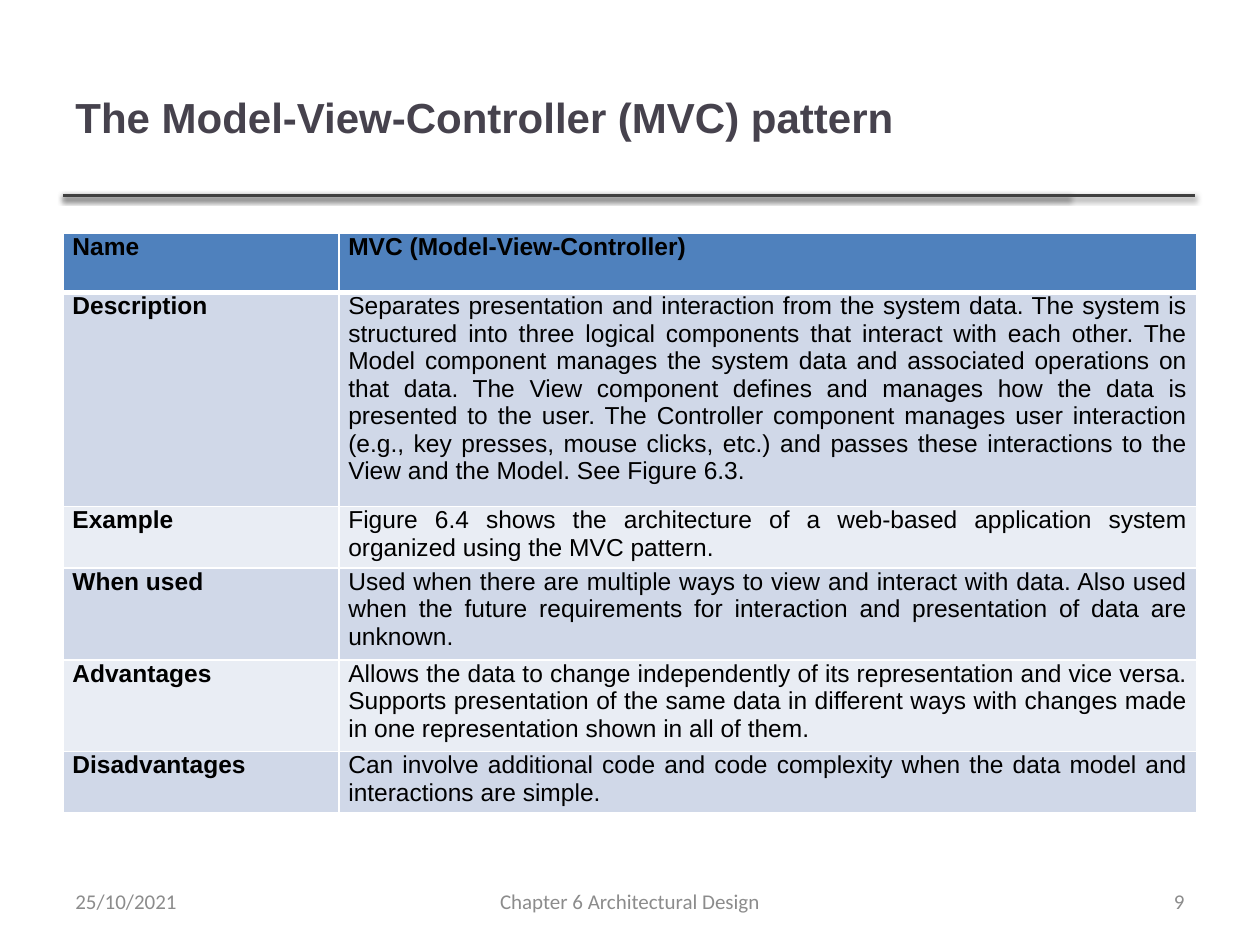
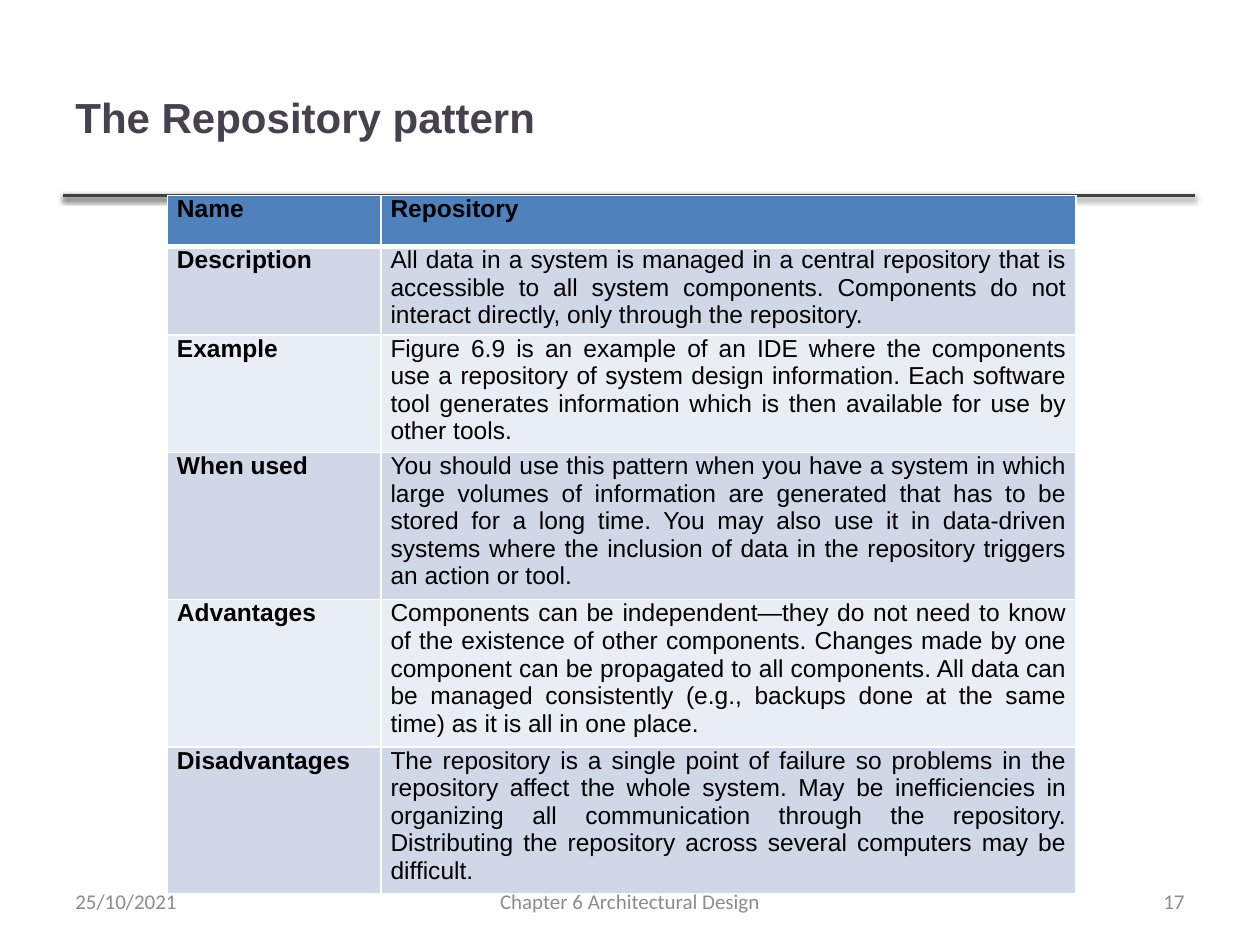
from typing import NamedTuple

from lxml import etree
from pptx import Presentation
from pptx import util as u
from pptx.dml.color import RGBColor
from pptx.enum import shapes, text
from pptx.oxml import parse_xml
from pptx.oxml.ns import nsdecls, qn

COLS, ROWS = 100, 75
WIDE, HIGH = u.Inches(10), u.Inches(7.5)
INK = {
    "title": "46424D", "rule": "404040", "foot": "8C8C8C", "body": "000000",
    "head": "4F81BD", "odd": "D0D8E8", "even": "E9EDF4", "edge": "FFFFFF",
}
ALIGN = text.PP_ALIGN
LABELS = ["Name", "Description", "Example", "When used", "Advantages", "Disadvantages"]


class Box(NamedTuple):
    left: float
    top: float
    wide: float
    high: float


class Foot(NamedTuple):
    box: Box
    words: str
    align: ALIGN


class Grid(NamedTuple):
    box: Box
    cols: list[float]
    rows: list[float]
    texts: list[str]


class Page(NamedTuple):
    title: str
    num: int
    grid: Grid


TITLE = Box(5, 3, 79.8, 12.5)
RULES = [84.9, 94.85]
FEET = [
    Foot(Box(34.15, 69.5, 31.7, 4), "Chapter 6 Architectural Design", ALIGN.CENTER),
    Foot(Box(71.7, 69.5, 23.3, 4), "{num}", ALIGN.RIGHT),
    Foot(Box(5, 69.5, 23.3, 4), "25/10/2021", ALIGN.LEFT),
]
PAGES = [
    Page("The Model-View-Controller (MVC) pattern", 9, Grid(
        Box(5, 18.5, 90, 46), [21.9, 68.1], [4.7, 17, 4.9, 7.27, 7.27, 4.9], [
            "MVC (Model-View-Controller)",
            "Separates presentation and interaction from the system data. The system is "
            "structured into three logical components that interact with each other. The "
            "Model component manages the system data and associated operations on that "
            "data. The View component defines and manages how the data is presented to "
            "the user. The Controller component manages user interaction (e.g., key "
            "presses, mouse clicks, etc.) and passes these interactions to the View and "
            "the Model. See Figure 6.3.",
            "Figure 6.4 shows the architecture of a web-based application system "
            "organized using the MVC pattern.",
            "Used when there are multiple ways to view and interact with data. Also used "
            "when the future requirements for interaction and presentation of data are "
            "unknown.",
            "Allows the data to change independently of its representation and vice "
            "versa. Supports presentation of the same data in different ways with "
            "changes made in one representation shown in all of them.",
            "Can involve additional code and code complexity when the data model and "
            "interactions are simple.",
        ])),
    Page("The Repository pattern", 17, Grid(
        Box(13.3, 15.5, 72.1, 55.4), [16.95, 55.15], [4.07] * 6, [
            "Repository",
            "All data in a system is managed in a central repository that is accessible "
            "to all system components. Components do not interact directly, only through "
            "the repository.",
            "Figure 6.9 is an example of an IDE where the components use a repository of "
            "system design information. Each software tool generates information which "
            "is then available for use by other tools.",
            "You should use this pattern when you have a system in which large volumes "
            "of information are generated that has to be stored for a long time. You may "
            "also use it in data-driven systems where the inclusion of data in the "
            "repository triggers an action or tool.",
            "Components can be independent—they do not need to know of the existence of "
            "other components. Changes made by one component can be propagated to all "
            "components. All data can be managed consistently (e.g., backups done at the "
            "same time) as it is all in one place.",
            "The repository is a single point of failure so problems in the repository "
            "affect the whole system. May be inefficiencies in organizing all "
            "communication through the repository. Distributing the repository across "
            "several computers may be difficult.",
        ])),
]


def across(cols: float) -> int:
    return round(WIDE * cols / COLS)


def down(rows: float) -> int:
    return round(HIGH * rows / ROWS)


def place(box: Box) -> tuple[int, int, int, int]:
    return across(box.left), down(box.top), across(box.wide), down(box.high)


def write(frame, words: str, *, size: float, ink: str, font: str = "Arial",
          bold: bool = False, align: ALIGN = ALIGN.LEFT) -> None:
    frame.word_wrap = True
    para = frame.paragraphs[0]
    para.alignment = align
    run = para.add_run()
    run.text = words
    run.font.name, run.font.size, run.font.bold = font, u.Pt(size), bold
    run.font.color.rgb = RGBColor.from_string(INK[ink])


def label(slide, box: Box, words: str, **style) -> None:
    shape = slide.shapes.add_textbox(*place(box))
    shape.text_frame.vertical_anchor = text.MSO_ANCHOR.MIDDLE
    write(shape.text_frame, words, **style)


def rule(slide, end: float) -> None:
    line = slide.shapes.add_connector(
        shapes.MSO_CONNECTOR.STRAIGHT, across(5), down(15.5), across(end), down(15.5))
    line.line.width = u.Pt(2)
    line.line.color.rgb = RGBColor.from_string(INK["rule"])
    line._element.spPr.append(parse_xml(
        f'<a:effectLst {nsdecls("a")}><a:outerShdw blurRad="{u.Pt(3.1)}" '
        f'dist="{u.Pt(1.6)}" dir="5400000" rotWithShape="0"><a:srgbClr val="000000">'
        '<a:alpha val="38000"/></a:srgbClr></a:outerShdw></a:effectLst>'))


def edge(cell, sides: dict[str, float]) -> None:
    props = cell._tc.get_or_add_tcPr()
    for spot, (side, width) in enumerate(sides.items()):
        line = etree.Element(qn(f"a:ln{side}"), w=str(u.Pt(width)))
        fill = etree.SubElement(line, qn("a:solidFill"))
        etree.SubElement(fill, qn("a:srgbClr"), val=INK["edge"])
        props.insert(spot, line)


def table(slide, grid: Grid) -> None:
    frame = slide.shapes.add_table(len(grid.rows), len(grid.cols), *place(grid.box))
    made = frame.table
    made.horz_banding = False
    for col, wide in zip(made.columns, grid.cols):
        col.width = across(wide)
    for row, high in zip(made.rows, grid.rows):
        row.height = down(high)
    frame.height = down(grid.box.high)
    for r, pair in enumerate(zip(LABELS, grid.texts)):
        band = "head" if r == 0 else "odd" if r % 2 else "even"
        for c, words in enumerate(pair):
            cell = made.cell(r, c)
            cell.margin_left = cell.margin_right = u.Pt(5.4)
            cell.margin_top = cell.margin_bottom = 0
            cell.fill.solid()
            cell.fill.fore_color.rgb = RGBColor.from_string(INK[band])
            edge(cell, {"L": 1, "R": 1, "T": 3 if r == 1 else 1, "B": 3 if r == 0 else 1})
            write(cell.text_frame, words, size=14, ink="body",
                  bold=r == 0 or c == 0, align=ALIGN.JUSTIFY)


def build(deck, page: Page) -> None:
    slide = deck.slides.add_slide(deck.slide_layouts[6])
    for end in RULES:
        rule(slide, end)
    label(slide, TITLE, page.title, size=24, ink="title", bold=True)
    table(slide, page.grid)
    for foot in FEET:
        label(slide, foot.box, foot.words.format(num=page.num), size=12,
              ink="foot", font="Calibri", align=foot.align)


def main() -> None:
    deck = Presentation()
    deck.slide_width, deck.slide_height = WIDE, HIGH
    for page in PAGES:
        build(deck, page)
    deck.save("out.pptx")


if __name__ == "__main__":
    main()
